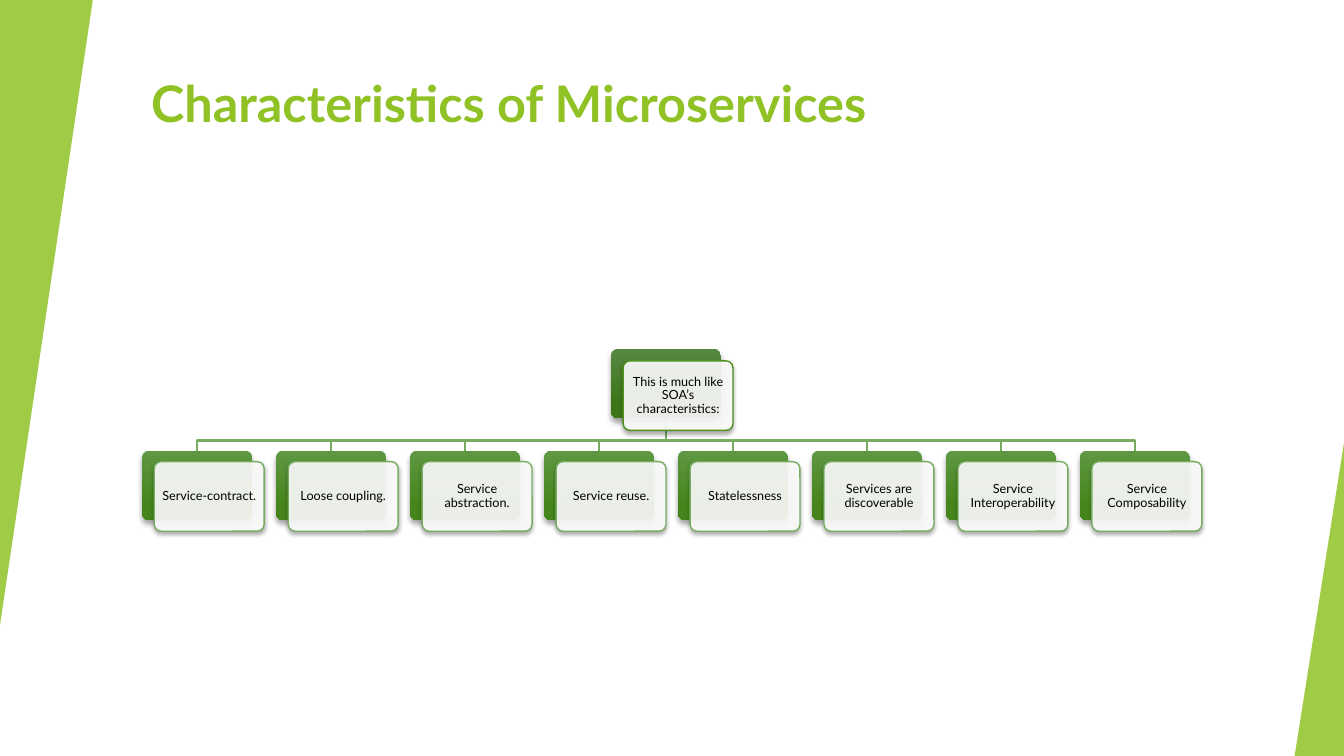
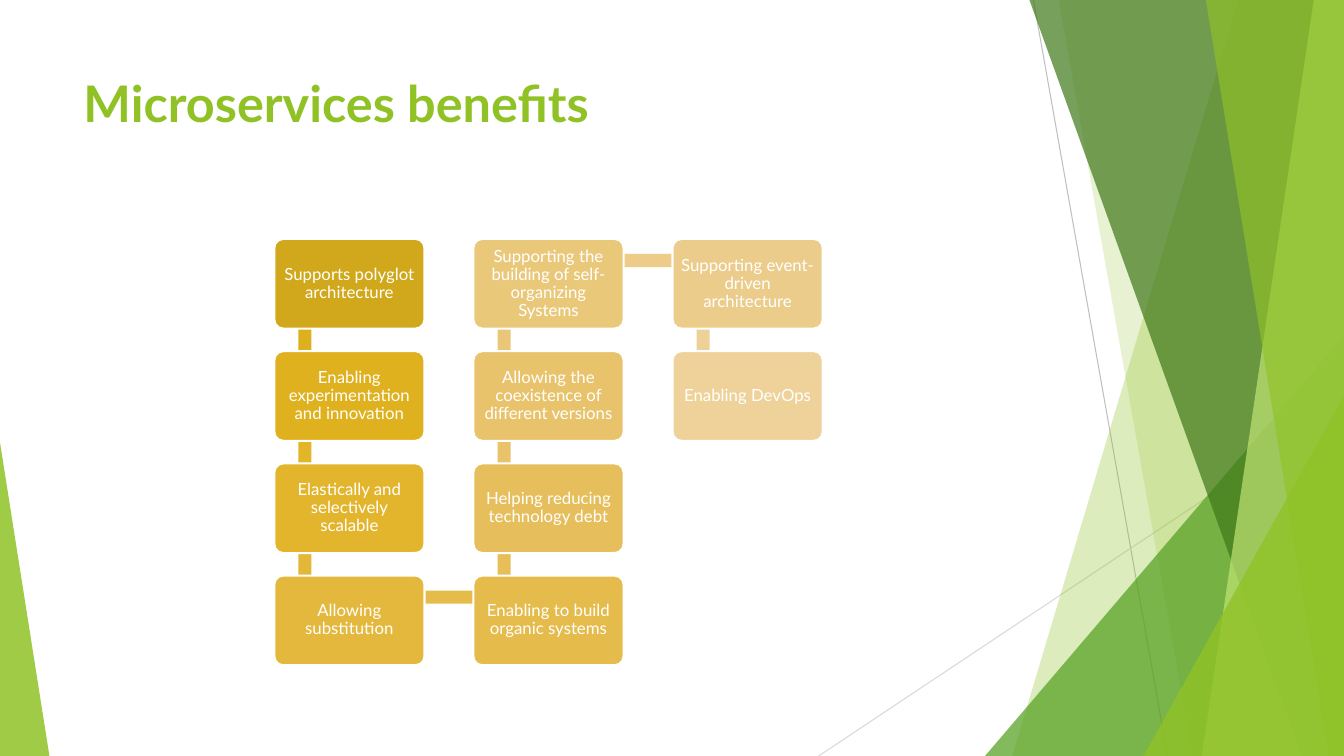
import pptx
import pptx.dml.color
import pptx.enum.shapes
import pptx.enum.text
import pptx.oxml.ns
import pptx.util
from lxml import etree

Inches = pptx.util.Inches
RGB = pptx.dml.color.RGBColor.from_string
SHAPE = pptx.enum.shapes.MSO_SHAPE
STRAIGHT = pptx.enum.shapes.MSO_CONNECTOR.STRAIGHT
ALIGN = pptx.enum.text.PP_ALIGN
ANCHOR = pptx.enum.text.MSO_ANCHOR
qn = pptx.oxml.ns.qn

WIDTH, HEIGHT = 13.33, 7.5
THEME = {
    "green": "90C226", "leaf": "54A021", "forest": "3F7819", "lime": "C0E474",
    "white": "FFFFFF", "black": "000000",
    "root line": "4C911E", "tree line": "76AD61",
    "root gradient": ("578842", "3E7518"),
    "child gradient": ("5E9843", "46851B"),
    "title": {"size": pptx.util.Pt(36), "bold": True, "name": "Lato"},
    "card": {"size": pptx.util.Pt(9), "name": "Lato"},
    "step": {"size": pptx.util.Pt(12), "name": "Lato"},
}


def paint(shape, colour=None, opacity=100, line=None, line_width=1, shadow=None):
    """Set fill, outline and shadow; shadow is (blur, distance) in points."""
    shape.shadow.inherit = False
    if colour:
        shape.fill.solid()
        shape.fill.fore_color.rgb = RGB(colour)
        if opacity < 100:
            tint = shape.fill._xPr.find(".//" + qn("a:srgbClr"))
            etree.SubElement(tint, qn("a:alpha"), val=str(opacity * 1000))
    if line:
        shape.line.color.rgb = RGB(line)
        shape.line.width = pptx.util.Pt(line_width)
    else:
        shape.line.fill.background()
    if shadow:
        blur, distance = (str(pptx.util.Pt(size)) for size in shadow)
        effects = shape._element.spPr.find(qn("a:effectLst"))
        outer = etree.SubElement(effects, qn("a:outerShdw"), blurRad=blur,
                                 dist=distance, dir="5400000", rotWithShape="0")
        tint = etree.SubElement(outer, qn("a:srgbClr"), val=THEME["black"])
        etree.SubElement(tint, qn("a:alpha"), val="35000")


def write(shape, text, style, colour, margin=None):
    """Put one run of text in a shape; a margin also centres it both ways."""
    frame = shape.text_frame
    frame.word_wrap = True
    para = frame.paragraphs[0]
    if margin is None:
        frame.vertical_anchor = ANCHOR.TOP
    else:
        para.alignment = ALIGN.CENTER
        para.line_spacing = 0.9
        layout = {"vertical_anchor": ANCHOR.MIDDLE}
        for side in ("left", "top", "right", "bottom"):
            layout["margin_" + side] = Inches(margin)
        for name, value in layout.items():
            setattr(frame, name, value)
    span = para.add_run()
    span.text = text
    for name, value in THEME[style].items():
        setattr(span.font, name, value)
    span.font.color.rgb = RGB(colour)


deck = pptx.Presentation()
deck.slide_width, deck.slide_height = Inches(WIDTH), Inches(HEIGHT)

# Triangles: left, top, width, height, apex, rotation. Bands: top x, bottom x.
# Bands reach the right edge of the page.
PAGES = [
    {
        "title": "Characteristics of Microservices",
        "title box": (1.4, 0.67, 11.15, 1.2),
        "lines": [],
        "decor": [
            ((0, 0, 0.92, 6.2, 1, 180), "green", 85),
            ((12.84, 4.39, 0.49, 3.11, 1, 0), "green", 85),
        ],
    },
    {
        "title": "Microservices benefits",
        "title box": (0.73, 0.67, 9.4, 1.44),
        "lines": [
            ((10.25, 0, 11.58, HEIGHT), "BFBFBF"),
            ((WIDTH, 4.03, 8.12, HEIGHT), "D9D9D9"),
        ],
        "decor": [
            ((12.28, 10.04), "green", 30),
            ((10.5, 11.83), "green", 20),
            ((9.77, 3.33, 3.56, 4.17, 1, 0), "leaf", 72),
            ((10.21, 12.91), "forest", 70),
            ((13.03, 11.92), "lime", 70),
            ((11.96, 13.18), "green", 65),
            ((11.34, 3.93, 1.99, 3.57, 1, 0), "green", 80),
            ((0, 4.39, 0.49, 3.11, 0, 0), "green", 85),
        ],
    },
]

for content in PAGES:
    page = deck.slides.add_slide(deck.slide_layouts[6])
    for ends, colour in content["lines"]:
        line = page.shapes.add_connector(STRAIGHT, *map(Inches, ends))
        line.line.color.rgb = RGB(colour)
        line.line.width = pptx.util.Pt(0.75)
        etree.SubElement(line._element.spPr, qn("a:effectLst"))
    for outline, colour, opacity in content["decor"]:
        if len(outline) == 2:
            top_x, bottom_x = outline
            corners = [(WIDTH, 0), (WIDTH, HEIGHT), (bottom_x, HEIGHT)]
            builder = page.shapes.build_freeform(Inches(top_x), 0)
            builder.add_line_segments([(Inches(x), Inches(y)) for x, y in corners])
            facet = builder.convert_to_shape()
        else:
            *place, apex, rotation = outline
            facet = page.shapes.add_shape(SHAPE.ISOSCELES_TRIANGLE, *map(Inches, place))
            facet.adjustments[0] = apex
            facet.rotation = rotation
        paint(facet, THEME[colour], opacity)
    box = page.shapes.add_textbox(*map(Inches, content["title box"]))
    write(box, content["title"], "title", THEME["green"])

tree_page, flow_page = deck.slides

# Characteristics tree
CARD_WIDTH, CARD_HEIGHT, CARD_SHIFT = 1.09, 0.69, 0.12
ROOT_LEFT, ROOT_TOP = 6.06, 3.46
CHILD_LEFT, CHILD_TOP, CHILD_PITCH = 1.41, 4.47, 9.3 / 7
RAIL_Y = 4.37
CHARACTERISTICS = [
    "Service-contract.", "Loose coupling.", "Service abstraction.", "Service reuse.",
    "Statelessness", "Services are discoverable", "Service Interoperability",
    "Service Composability",
]
# Text, left, top, drop of the card below its plate, gradient, outline
nodes = [("This is much like SOA’s characteristics:", ROOT_LEFT, ROOT_TOP, 0.12,
          "root gradient", "root line")]
nodes += [(text, CHILD_LEFT + CHILD_PITCH * index, CHILD_TOP, 0.11,
           "child gradient", "tree line")
          for index, text in enumerate(CHARACTERISTICS)]

root_x, root_bottom = ROOT_LEFT + CARD_WIDTH / 2, ROOT_TOP + CARD_HEIGHT
for text, left, *rest in reversed(nodes[1:]):
    child_x = left + CARD_WIDTH / 2
    bends = [(root_x, RAIL_Y), (child_x, RAIL_Y), (child_x, CHILD_TOP)]
    builder = tree_page.shapes.build_freeform(Inches(root_x), Inches(root_bottom))
    builder.add_line_segments([(Inches(x), Inches(y)) for x, y in bends], close=False)
    branch = builder.convert_to_shape()
    branch.fill.background()
    paint(branch, line=THEME["tree line"], line_width=1.5)

for text, left, top, drop, gradient, outline in nodes:
    plate = tree_page.shapes.add_shape(
        SHAPE.ROUNDED_RECTANGLE, Inches(left), Inches(top),
        Inches(CARD_WIDTH), Inches(CARD_HEIGHT))
    plate.adjustments[0] = 0.1
    plate.fill.gradient()
    plate.fill.gradient_angle = 270
    for stop, colour, position in zip(plate.fill.gradient_stops, THEME[gradient], (0, 0.78)):
        stop.color.rgb = RGB(colour)
        stop.position = position
    paint(plate, shadow=(4, 3))

    card = tree_page.shapes.add_shape(
        SHAPE.ROUNDED_RECTANGLE, Inches(left + CARD_SHIFT), Inches(top + drop),
        Inches(CARD_WIDTH), Inches(CARD_HEIGHT))
    card.adjustments[0] = 0.1
    paint(card, THEME["white"], 90, THEME[outline], shadow=(3, 2))
    write(card, text, "card", THEME["black"], 0.04)

# Benefits flow: down the first column, up the second, down the third
STEP_WIDTH, STEP_HEIGHT = 1.49, 0.89
FLOW_LEFT, FLOW_TOP, ROWS = 2.72, 2.37, 4
COLUMN_PITCH, ROW_PITCH = 3.95 / 2, 3.34 / 3
LINK = 0.13
# Text, step colour, colour of the link to the next step
BENEFITS = [
    ("Supports polyglot architecture", "D1A81B", "DCB11D"),
    ("Enabling experimentation and innovation", "DFB11E", "E2B628"),
    ("Elastically and selectively scalable", "E2B52D", "E3B838"),
    ("Allowing substitution", "E3B83C", "E5BC49"),
    ("Enabling to build organic systems", "E5BB4C", "E6BF59"),
    ("Helping reducing technology debt", "E6BF5C", "E8C369"),
    ("Allowing the coexistence of different versions", "E8C36B", "EAC778"),
    ("Supporting the building of self-organizing Systems", "EAC87A", "ECCC88"),
    ("Supporting event-driven architecture", "ECCC8A", "EED198"),
    ("Enabling DevOps", "EED299", None),
]
for index, (text, colour, link_colour) in enumerate(BENEFITS):
    column, row = divmod(index, ROWS)
    upward = column % 2 == 1
    if upward:
        row = ROWS - 1 - row
    left = FLOW_LEFT + COLUMN_PITCH * column
    top = FLOW_TOP + ROW_PITCH * row
    if link_colour:
        if index % ROWS == ROWS - 1:
            place = (left + 0.3, top + 0.15, COLUMN_PITCH, LINK)
        else:
            upper = top - ROW_PITCH if upward else top
            place = (left + 0.24, upper + 0.22, LINK, ROW_PITCH)
        link = flow_page.shapes.add_shape(SHAPE.RECTANGLE, *map(Inches, place))
        paint(link, link_colour)
    step = flow_page.shapes.add_shape(
        SHAPE.ROUNDED_RECTANGLE, Inches(left), Inches(top),
        Inches(STEP_WIDTH), Inches(STEP_HEIGHT))
    step.adjustments[0] = 0.1
    paint(step, colour, line=THEME["white"], line_width=1.5)
    write(step, text, "step", THEME["white"], 0.05)

deck.save("out.pptx")
